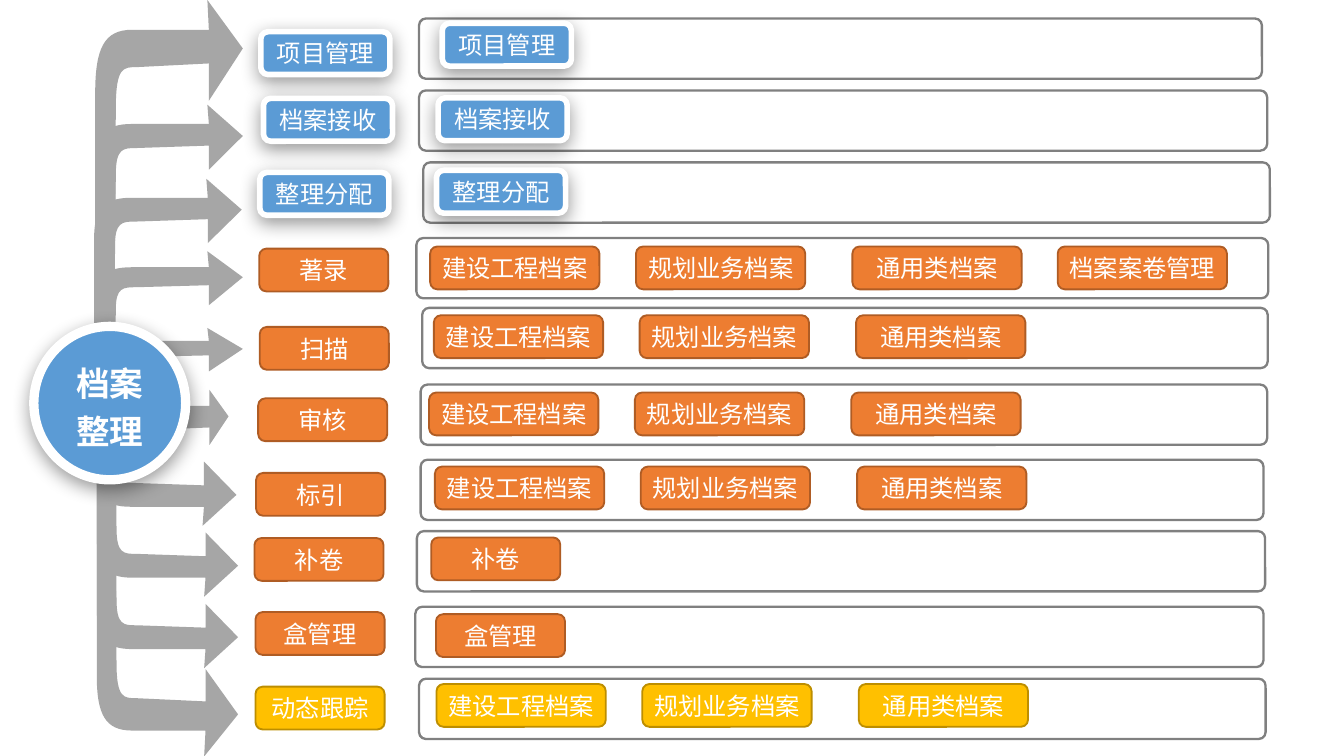
"""Build the archive-processing slide: a hub, branching arrows and ten rows of steps."""
from typing import NamedTuple

from lxml.etree import SubElement
from pptx import Presentation
from pptx.dml.color import RGBColor
from pptx.enum.shapes import MSO_SHAPE as Preset
from pptx.enum.text import MSO_ANCHOR as Anchor, PP_ALIGN as Align
from pptx.oxml import parse_xml
from pptx.oxml.ns import nsdecls, qn
from pptx.util import Cm, Pt

FONT = "Noto Sans CJK SC"
WHITE, GREY, FRAME_GREY = "FFFFFF", "A6A6A6", "808080"
CHIP_HEIGHT, FRAME_HEIGHT = 0.81, 1.14
SHORT_CHIP, LONG_CHIP = 2.44, 3.2
CHIP_OFFSETS = (0, 3.89, 7.98, 11.86)
ARCHIVES = ("建设工程档案", "规划业务档案", "通用类档案")


class Style(NamedTuple):
    fill: str
    line: str
    weight: float
    shadow: bool = False


class Box(NamedTuple):
    left: float
    top: float
    width: float
    height: float


class Row(NamedTuple):
    label: str
    style: Style
    label_at: tuple[float, float]
    frame: tuple[float, float, float]
    chips_at: tuple[float, float]
    chips: tuple[str, ...]


class Branch(NamedTuple):
    box: Box
    down: bool = False


BLUE = Style("5B9BD5", WHITE, 3, True)
HUB = Style("5B9BD5", WHITE, 5, True)
ORANGE = Style("ED7D31", "AF5C24", 1)
YELLOW = Style("FFC000", "BD8E00", 1)

ROWS = (
    Row("项目管理", BLUE, (4.93, 0.6), (7.92, 0.35, 15.93), (8.36, 0.44), ("项目管理",)),
    Row("档案接收", BLUE, (4.98, 1.86), (7.92, 1.71, 16.03), (8.28, 1.85), ("档案接收",)),
    Row("整理分配", BLUE, (4.91, 3.26), (8, 3.07, 16), (8.25, 3.22), ("整理分配",)),
    Row("著录", ORANGE, (4.9, 4.7), (7.87, 4.5, 16.1), (8.13, 4.66), ARCHIVES + ("档案案卷管理",)),
    Row("扫描", ORANGE, (4.91, 6.18), (7.98, 5.82, 15.98), (8.2, 5.96), ARCHIVES),
    Row("审核", ORANGE, (4.88, 7.53), (7.95, 7.27, 16), (8.11, 7.42), ARCHIVES),
    Row("标引", ORANGE, (4.84, 8.94), (7.95, 8.69, 15.93), (8.22, 8.82), ARCHIVES),
    Row("补卷", ORANGE, (4.81, 10.17), (7.88, 10.04, 16.03), (8.15, 10.16), ("补卷",)),
    Row("盒管理", ORANGE, (4.83, 11.57), (7.85, 11.47, 16.03), (8.24, 11.61), ("盒管理",)),
    Row("动态跟踪", YELLOW, (4.83, 12.98), (7.92, 12.83, 16), (8.25, 12.93), ARCHIVES),
)

BRANCHES = (
    Branch(Box(1.83, 8.18, 2.67, 6.12), True),
    Branch(Box(1.8, 0, 2.79, 7.06)),
    Branch(Box(1.8, 1.98, 2.79, 4.55)),
    Branch(Box(1.78, 3.38, 2.79, 4.5)),
    Branch(Box(1.8, 4.75, 2.79, 3.78)),
    Branch(Box(1.8, 6.2, 2.79, 3.05)),
    Branch(Box(1.83, 8.13, 2.67, 4.5), True),
    Branch(Box(1.8, 5.44, 2.67, 4.5), True),
    Branch(Box(1.83, 6.78, 2.67, 4.5), True),
)

BRANCH_OUTLINE = (
    ((0.13, 0.88),),
    ((0.14, 0.29),),
    ((0.14, 0.18), (0.19, 0.18), (0.28, 0.18)),
    ((0.77, 0.17),),
    ((0.77, 0.27),),
    ((1, 0.13),),
    ((0.76, 0),),
    ((0.77, 0.08),),
    ((0.77, 0.08), (0.43, 0.08), (0.25, 0.08)),
    ((0.06, 0.08), (0, 0.13), (0, 0.25)),
    ((0, 0.9),),
    ((0.02, 1), (0.1, 0.99), (0.13, 0.88)),
)
SHORT_ARROW = (((3.28, 7.09),), ((3.33, 8.33),), ((3, 8.33),), ((3.54, 8.69),),
               ((4.04, 8.33),), ((3.74, 8.33),), ((3.74, 7.09),))


def color(value: str) -> RGBColor:
    """Turn a hex string into a colour."""
    return RGBColor.from_string(value)


def bend(shape, segments) -> None:
    """Turn each three-point segment of an outline into a cubic curve."""
    lines = iter(list(shape._element.iter(qn("a:lnTo"))))
    for segment in segments[1:]:
        steps = [next(lines) for _ in segment]
        if len(steps) == 3:
            first, *others = steps
            first.tag = qn("a:cubicBezTo")
            for step in others:
                first.append(step[0])
                step.getparent().remove(step)


def draw_outline(page, segments, rotation: float = 0) -> None:
    """Draw a closed grey outline of line and curve segments in centimetres."""
    start, *points = [(Cm(x), Cm(y)) for segment in segments for x, y in segment]
    builder = page.shapes.build_freeform(*start)
    builder.add_line_segments(points, close=True)
    arrow = builder.convert_to_shape()
    bend(arrow, segments)
    arrow.rotation = rotation
    arrow.shadow.inherit = False
    arrow.fill.solid()
    arrow.fill.fore_color.rgb = color(GREY)
    arrow.line.fill.background()


def draw_branch(page, branch: Branch) -> None:
    """Fit the bent arrow to its box, pointing up or down."""
    left, top, width, height = branch.box
    draw_outline(page, [[(left + x * width, top + (1 - y if branch.down else y) * height)
                         for x, y in segment] for segment in BRANCH_OUTLINE])


def add_shadow(shape) -> None:
    """Give a shape a soft shadow below."""
    effects = shape._element.spPr.find(qn("a:effectLst"))
    effects.append(parse_xml(
        f'<a:outerShdw {nsdecls("a")} blurRad="{Pt(10)}" dist="{Pt(3)}" dir="5400000" '
        'algn="t" rotWithShape="0"><a:srgbClr val="000000"><a:alpha val="40000"/>'
        '</a:srgbClr></a:outerShdw>'))


def draw_frame(page, box: Box) -> None:
    """Draw an empty rounded frame."""
    frame = page.shapes.add_shape(Preset.ROUNDED_RECTANGLE, *map(Cm, box))
    frame.adjustments[0] = 0.115
    frame.shadow.inherit = False
    frame.fill.background()
    frame.line.color.rgb = color(FRAME_GREY)
    frame.line.width = Pt(1.25)


def draw_label(page, text: str, box: Box, style: Style,
               preset=Preset.ROUNDED_RECTANGLE, size: float = 13, bold: bool = False):
    """Draw a filled shape with centred white text."""
    shape = page.shapes.add_shape(preset, *map(Cm, box))
    shape.shadow.inherit = False
    shape.fill.solid()
    shape.fill.fore_color.rgb = color(style.fill)
    shape.line.color.rgb = color(style.line)
    shape.line.width = Pt(style.weight)
    if style.shadow:
        add_shadow(shape)
    frame = shape.text_frame
    frame.text = text
    frame.word_wrap = True
    frame.vertical_anchor = Anchor.MIDDLE
    frame.margin_left = frame.margin_right = Cm(0.18)
    frame.margin_top = frame.margin_bottom = Cm(0.08)
    para = frame.paragraphs[0]
    para.alignment = Align.CENTER
    span = para.runs[0]
    span.font.size, span.font.bold, span.font.name = Pt(size), bold, FONT
    span.font.color.rgb = color(WHITE)
    SubElement(span._r.get_or_add_rPr(), qn("a:ea"), typeface=FONT)
    return shape


def draw_row(page, row: Row) -> None:
    """Draw one step with its frame and chips."""
    draw_frame(page, Box(*row.frame, FRAME_HEIGHT))
    draw_label(page, row.label, Box(*row.label_at, SHORT_CHIP, CHIP_HEIGHT), row.style)
    width = LONG_CHIP if len(row.chips) > 1 else SHORT_CHIP
    left, top = row.chips_at
    for offset, chip in zip(CHIP_OFFSETS, row.chips):
        draw_label(page, chip, Box(left + offset, top, width, CHIP_HEIGHT), row.style)


def main() -> None:
    """Build and save the deck."""
    deck = Presentation()
    deck.slide_width, deck.slide_height = Cm(25.4), Cm(14.29)
    page = deck.slides.add_slide(deck.slide_layouts[6])
    draw_outline(page, SHORT_ARROW, 270)
    for branch in BRANCHES:
        draw_branch(page, branch)
    hub = draw_label(page, "档案整理", Box(0.64, 6.17, 2.87, 2.9), HUB, Preset.OVAL, 18, True)
    hub.text_frame.paragraphs[0].line_spacing = 1.2
    for row in ROWS:
        draw_row(page, row)
    deck.save("out.pptx")


if __name__ == "__main__":
    main()
